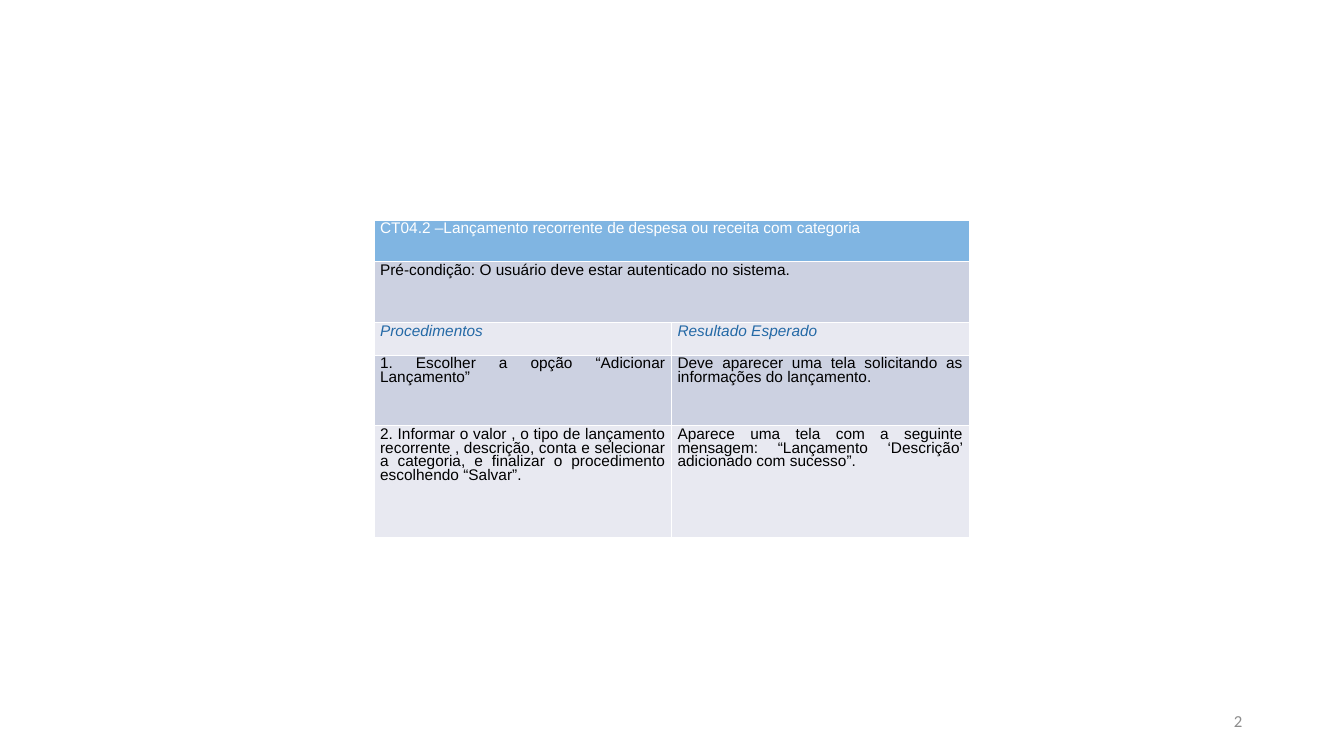
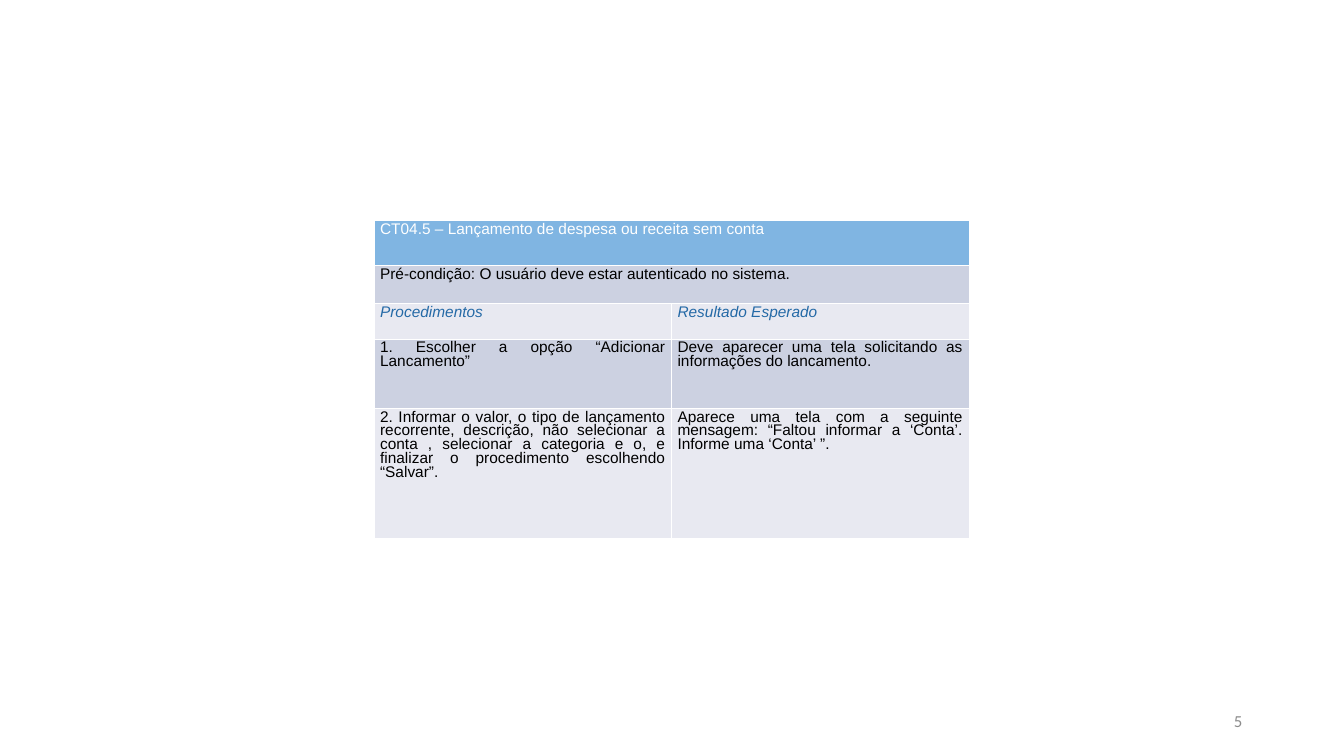
import pptx
import pptx.util
import pptx.dml.color
import pptx.enum.text
import pptx.oxml
import pptx.oxml.ns
from pptx.util import Inches

COLORS = {
    "title": "80B5E2", "dark": "CCD1E1", "light": "E8E9F1", "border": "FFFFFF",
    "white": "FFFFFF", "text": "000000", "heading": "2469A6", "number": "8C8C8C",
}
ALIGN = pptx.enum.text.PP_ALIGN

# Row styles from top to bottom: fill, text colour, italic, alignment
ROW_STYLES = [
    ("title", "white", False, ALIGN.LEFT),
    ("dark", "text", False, ALIGN.LEFT),
    ("light", "heading", True, ALIGN.LEFT),
    ("dark", "text", False, ALIGN.JUSTIFY),
    ("light", "text", False, ALIGN.JUSTIFY),
]
PRECONDITION = ["Pré-condição: O usuário deve estar autenticado no sistema."]
HEADINGS = ["Procedimentos", "Resultado Esperado"]

TEST_CASES = [
    {
        "number": "2",
        "heights": [0.41, 0.61, 0.32, 0.7, 1.11],
        "title_spacing": 0.8,
        "title": "CT04.2 –Lançamento recorrente de despesa ou receita com categoria",
        "steps": [
            ["1. Escolher a opção “Adicionar Lançamento”",
             "Deve aparecer uma tela solicitando as informações do lançamento."],
            ["2. Informar o valor , o tipo de lançamento recorrente , descrição, conta e "
             "selecionar a categoria, e finalizar o procedimento escolhendo “Salvar”.",
             "Aparece uma tela com a seguinte mensagem: “Lançamento ‘Descrição’ "
             "adicionado com sucesso”."],
        ],
    },
    {
        "number": "5",
        "heights": [0.45, 0.38, 0.35, 0.69, 1.29],
        "title_spacing": 0.86,
        "title": "CT04.5 – Lançamento de despesa ou receita sem conta",
        "steps": [
            ["1. Escolher a opção “Adicionar Lancamento”",
             "Deve aparecer uma tela solicitando as informações do lancamento."],
            ["2. Informar o valor, o tipo de lançamento recorrente, descrição, não selecionar "
             "a conta , selecionar a categoria e o, e finalizar o procedimento escolhendo "
             "“Salvar”.",
             "Aparece uma tela com a seguinte mensagem: “Faltou informar a ‘Conta’. "
             "Informe uma ‘Conta’ ”."],
        ],
    },
]


def rgb(name):
    return pptx.dml.color.RGBColor.from_string(COLORS[name])


def add_run(p, text, font, size, color, italic=False):
    r = p.add_run()
    r.text = text
    r.font.name, r.font.size, r.font.italic = font, pptx.util.Pt(size), italic
    r.font.color.rgb = rgb(color)


def set_borders(cell):
    """Put the four cell lines before the fill, as the schema requires."""
    tc_pr = cell._tc.get_or_add_tcPr()
    for i, side in enumerate(("lnL", "lnR", "lnT", "lnB")):
        tc_pr.insert(i, pptx.oxml.parse_xml(
            f'<a:{side} {pptx.oxml.ns.nsdecls("a")} w="{pptx.util.Pt(0.06)}"><a:solidFill>'
            f'<a:srgbClr val="{COLORS["border"]}"/></a:solidFill></a:{side}>'))


def format_cell(cell, fill):
    cell.fill.solid()
    cell.fill.fore_color.rgb = rgb(fill)
    cell.margin_left = cell.margin_right = Inches(0.06)
    cell.margin_top = cell.margin_bottom = Inches(0.03)
    set_borders(cell)


def add_case_table(s, case):
    rows = [[case["title"]], PRECONDITION, HEADINGS, *case["steps"]]
    heights = case["heights"]
    table = s.shapes.add_table(len(rows), 2, Inches(3.71), Inches(2.18),
                               Inches(5.9), Inches(sum(heights))).table
    for column in table.columns:
        column.width = Inches(2.95)
    for i, (texts, height, style) in enumerate(zip(rows, heights, ROW_STYLES)):
        fill, color, italic, align = style
        table.rows[i].height = Inches(height)
        for cell in table.rows[i].cells:
            format_cell(cell, fill)
        if len(texts) == 1:
            table.cell(i, 0).merge(table.cell(i, 1))
        for j, text in enumerate(texts):
            p = table.cell(i, j).text_frame.paragraphs[0]
            p.alignment = align
            p.line_spacing = case["title_spacing"] if i == 0 else 0.8
            add_run(p, text, "Arial", 11, color, italic)


def add_number(s, number):
    tf = s.shapes.add_textbox(Inches(9.42), Inches(6.95), Inches(3), Inches(0.4)).text_frame
    tf.word_wrap = True
    tf.vertical_anchor = pptx.enum.text.MSO_ANCHOR.MIDDLE
    p = tf.paragraphs[0]
    p.alignment = ALIGN.RIGHT
    add_run(p, number, "Calibri", 12, "number")


def main():
    prs = pptx.Presentation()
    prs.slide_width, prs.slide_height = Inches(13.33), Inches(7.5)
    for case in TEST_CASES:
        s = prs.slides.add_slide(prs.slide_layouts[6])
        add_number(s, case["number"])
        add_case_table(s, case)
    prs.save("out.pptx")


if __name__ == "__main__":
    main()
